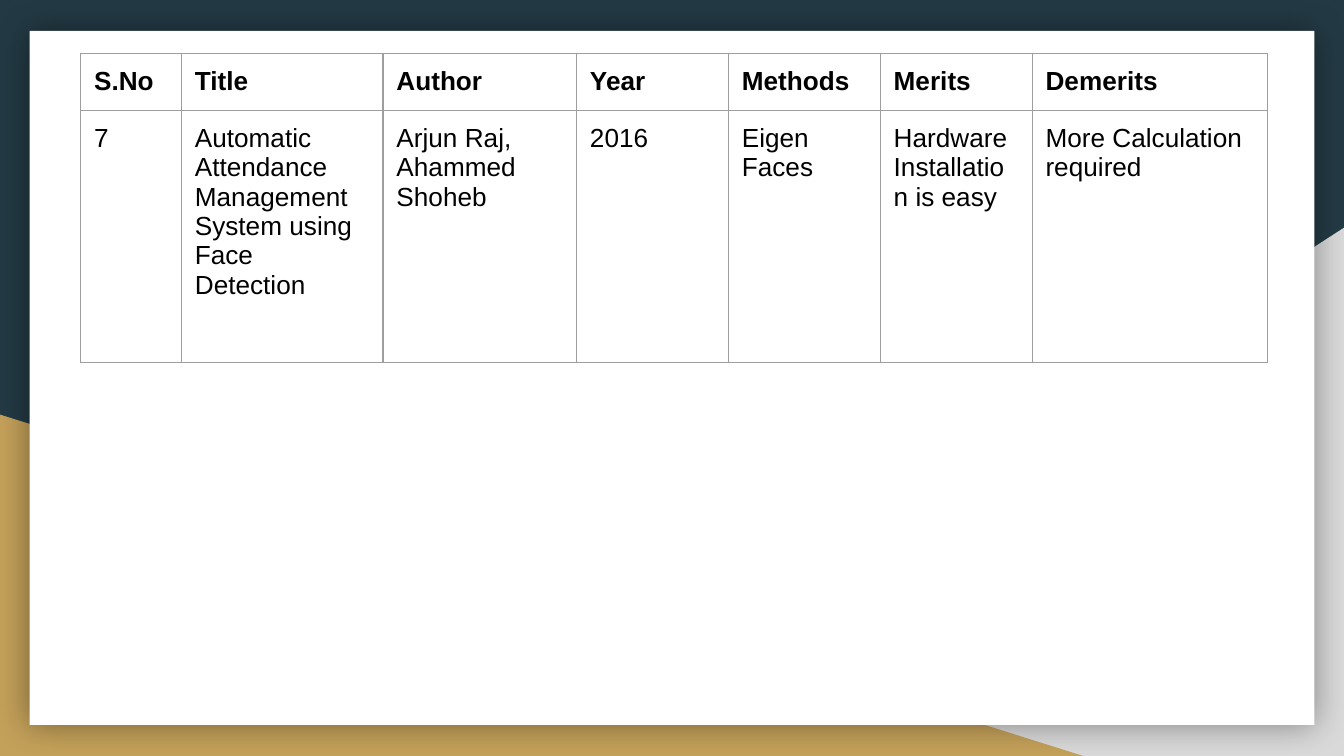
from lxml.etree import SubElement
from pptx import Presentation
from pptx.dml.color import RGBColor
from pptx.enum.shapes import MSO_SHAPE
from pptx.oxml import parse_xml
from pptx.oxml.ns import nsdecls, qn
from pptx.util import Inches, Pt

HEADINGS = ["S.No", "Title", "Author", "Year", "Methods", "Merits", "Demerits"]
PAPER = ["7", "Automatic Attendance Management System using Face Detection",
         "Arjun Raj, Ahammed Shoheb", "2016", "Eigen Faces",
         "Hardware Installation is easy", "More Calculation required"]
COLUMN_WIDTHS = [0.75, 1.5, 1.44, 1.13, 1.13, 1.13, 1.75]
ROW_HEIGHTS = [0.42, 1.88]

WIDTH = 10
HEIGHT = WIDTH * 9 / 16
MARGIN_X, MARGIN_Y = 0.22, 0.23
TABLE_LEFT, TABLE_TOP = 0.6, 0.4
PADDING = Inches(0.1)

NAVY = RGBColor(0x23, 0x3A, 0x44)
GREY = RGBColor(0xD9, 0xD9, 0xD9)
GOLD = RGBColor(0xC4, 0xA1, 0x5A)
WHITE = RGBColor(0xFF, 0xFF, 0xFF)
BLACK = RGBColor(0, 0, 0)
BORDER = RGBColor(0x9E, 0x9E, 0x9E)


def add_panel(page, kind, left, top, width, height, color):
    panel = page.shapes.add_shape(kind, Inches(left), Inches(top),
                                  Inches(width), Inches(height))
    panel.shadow.inherit = False
    panel.fill.solid()
    panel.fill.fore_color.rgb = color
    panel.line.fill.background()
    return panel


def add_glow_shadow(panel):
    effects = panel._element.spPr.find(qn("a:effectLst"))
    shadow = SubElement(effects, qn("a:outerShdw"), blurRad=str(Pt(18)),
                        dist="0", dir="0", algn="ctr", rotWithShape="0")
    color = SubElement(shadow, qn("a:srgbClr"), val=str(BLACK))
    SubElement(color, qn("a:alpha"), val="40000")


def add_borders(cell):
    properties = cell._tc.get_or_add_tcPr()
    for position, side in enumerate(["lnL", "lnR", "lnT", "lnB"]):
        properties.insert(position, parse_xml(
            f'<a:{side} {nsdecls("a")} w="{Pt(0.75)}"><a:solidFill>'
            f'<a:srgbClr val="{BORDER}"/></a:solidFill></a:{side}>'))


def fill_cell(cell, text, bold):
    cell.text = text
    cell.margin_left = cell.margin_right = PADDING
    cell.margin_top = cell.margin_bottom = PADDING
    cell.fill.background()
    add_borders(cell)
    font = cell.text_frame.paragraphs[0].font
    font.name, font.size, font.bold = "Arial", Pt(14), bold
    font.color.rgb = BLACK


def add_paper_table(page):
    frame = page.shapes.add_table(
        len(ROW_HEIGHTS), len(COLUMN_WIDTHS), Inches(TABLE_LEFT), Inches(TABLE_TOP),
        Inches(sum(COLUMN_WIDTHS)), Inches(sum(ROW_HEIGHTS)))
    table = frame.table
    table.horz_banding = False
    for column, width in zip(table.columns, COLUMN_WIDTHS):
        column.width = Inches(width)
    for row, height, texts in zip(table.rows, ROW_HEIGHTS, [HEADINGS, PAPER]):
        row.height = Inches(height)
        for cell, text in zip(row.cells, texts):
            fill_cell(cell, text, bold=texts is HEADINGS)


def main():
    deck = Presentation()
    deck.slide_width, deck.slide_height = Inches(WIDTH), Inches(HEIGHT)
    page = deck.slides.add_slide(deck.slide_layouts[6])
    page.background.fill.solid()
    page.background.fill.fore_color.rgb = NAVY

    # Corner triangles, then the white sheet over them
    right_corner = add_panel(page, MSO_SHAPE.RIGHT_TRIANGLE,
                             WIDTH - 6.08, HEIGHT - 3.93, 6.08, 3.93, GREY)
    right_corner._element.spPr.find(qn("a:xfrm")).set("flipH", "1")
    add_panel(page, MSO_SHAPE.RIGHT_TRIANGLE, 0, HEIGHT - 2.54, 8.06, 2.54, GOLD)
    sheet = add_panel(page, MSO_SHAPE.RECTANGLE, MARGIN_X, MARGIN_Y,
                      WIDTH - 2 * MARGIN_X, HEIGHT - 2 * MARGIN_Y, WHITE)
    add_glow_shadow(sheet)

    # Literature survey table
    add_paper_table(page)
    deck.save("out.pptx")


if __name__ == "__main__":
    main()
